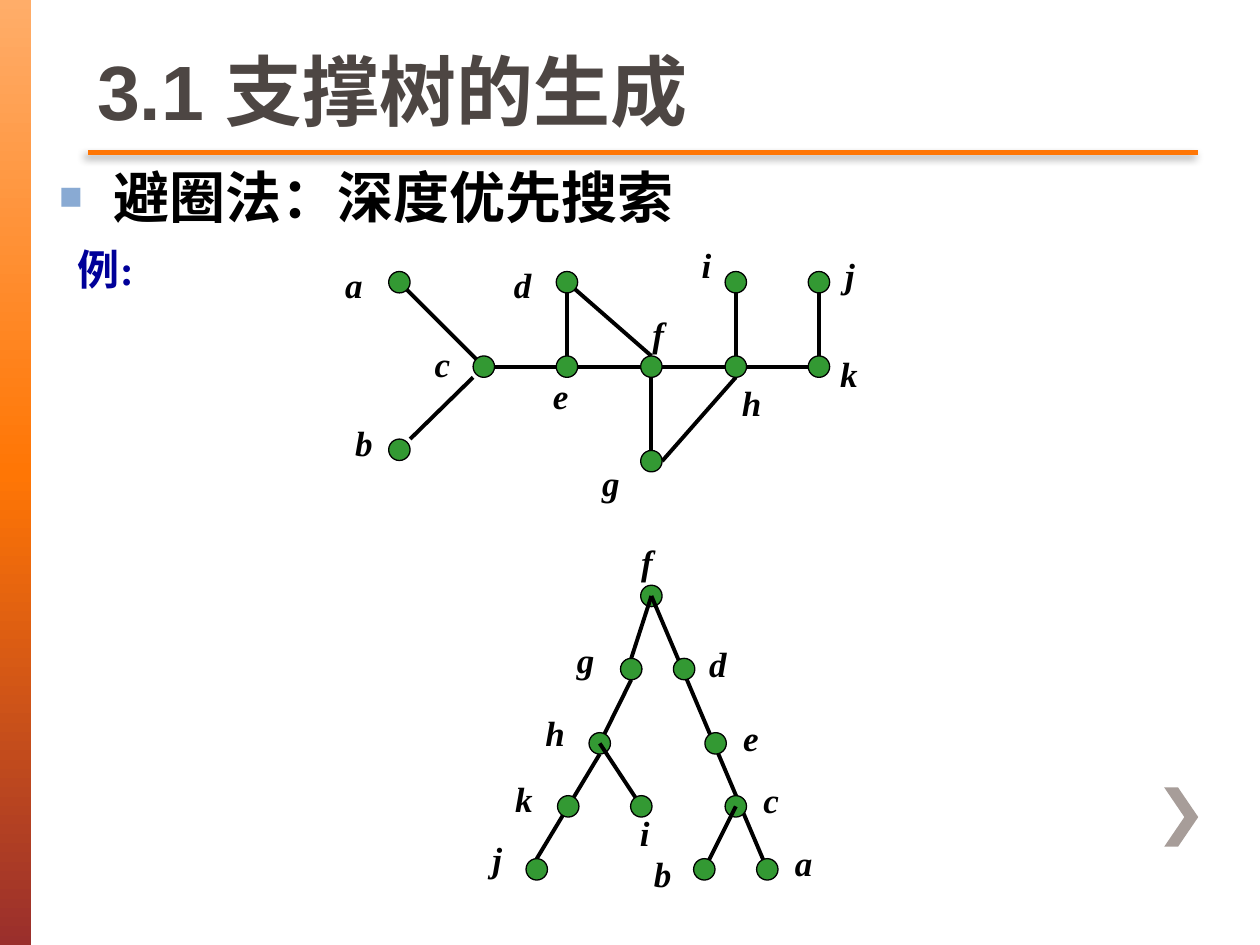
from lxml import etree
from pptx import Presentation
from pptx.dml.color import RGBColor
from pptx.enum.shapes import MSO_CONNECTOR, MSO_SHAPE
from pptx.enum.text import MSO_ANCHOR, MSO_AUTO_SIZE, PP_ALIGN
from pptx.oxml import parse_xml
from pptx.oxml.ns import qn
from pptx.util import Inches, Pt

STRAIGHT = MSO_CONNECTOR.STRAIGHT
RECTANGLE, OVAL = MSO_SHAPE.RECTANGLE, MSO_SHAPE.OVAL
LEFT = PP_ALIGN.LEFT
TOP, BOTTOM = MSO_ANCHOR.TOP, MSO_ANCHOR.BOTTOM
NO_AUTOFIT = MSO_AUTO_SIZE.NONE

BLACK = RGBColor(0x00, 0x00, 0x00)
ORANGE = RGBColor(0xFF, 0x76, 0x05)
TITLE_BROWN = RGBColor(0x4D, 0x46, 0x43)
CHEVRON_GREY = RGBColor(0xA7, 0x9D, 0x99)
EXAMPLE_BLUE = RGBColor(0x00, 0x00, 0x99)
NODE_GREEN = RGBColor(0x33, 0x99, 0x33)
BULLET_BLUE = RGBColor(0x89, 0xAA, 0xD3)
BAR_STOPS = [(0, RGBColor(0xFF, 0xAD, 0x69)), (50, ORANGE),
             (100, RGBColor(0x9A, 0x2F, 0x2C))]

SERIF, SANS = "Times New Roman", "Arial"
A_NS = 'xmlns:a="http://schemas.openxmlformats.org/drawingml/2006/main"'

RADIUS = 0.085
# Points of a node where an edge may end, as offsets from its centre
ANCHORS = {"mid": (0, 0), "n": (0, -RADIUS), "s": (0, RADIUS),
           "w": (-RADIUS, 0), "e": (RADIUS, 0),
           "ne": (RADIUS, -RADIUS), "sw": (-RADIUS, RADIUS)}


def add_run(paragraph, text, size, font, color, italic=False):
    run = paragraph.add_run()
    run.text = text
    run.font.size = Pt(size)
    run.font.name = font
    run.font.bold = True
    run.font.italic = italic
    run.font.color.rgb = color


def add_text(slide, box, text, size, color, italic=False):
    label = slide.shapes.add_textbox(*map(Inches, box))
    label.text_frame.word_wrap = True
    add_run(label.text_frame.paragraphs[0], text, size, SERIF, color, italic)


def add_line(slide, start, end, color, width):
    line = slide.shapes.add_connector(STRAIGHT, *map(Inches, (*start, *end)))
    line.line.color.rgb = color
    line.line.width = Pt(width)
    effects = etree.SubElement(line._element.spPr, qn("a:effectLst"))
    return effects


def place(placeholder, box, anchor):
    placeholder.left, placeholder.top, placeholder.width, placeholder.height = map(Inches, box)
    frame = placeholder.text_frame
    frame.vertical_anchor = anchor
    frame.auto_size = NO_AUTOFIT
    paragraph = frame.paragraphs[0]
    paragraph.alignment = LEFT
    paragraph.space_before = Pt(0)
    return paragraph


def add_side_bar(slide, box):
    bar = slide.shapes.add_shape(RECTANGLE, *map(Inches, box))
    bar.shadow.inherit = False
    bar.line.fill.background()
    # Three-stop gradient running downwards
    stops = "".join(f'<a:gs pos="{pos * 1000}"><a:srgbClr val="{color}"/></a:gs>'
                    for pos, color in BAR_STOPS)
    gradient = parse_xml(f'<a:gradFill {A_NS}><a:gsLst>{stops}</a:gsLst>'
                         '<a:lin ang="5400000" scaled="0"/></a:gradFill>')
    bar._element.spPr.find(qn("a:prstGeom")).addnext(gradient)


def add_chevron(slide, box):
    left, top, width, height = box
    arm = 0.11
    outline = [(arm, 0), (width, height / 2), (arm, height),
               (0, height), (width - arm, height / 2), (0, 0)]
    points = [(Inches(left + x), Inches(top + y)) for x, y in outline]
    builder = slide.shapes.build_freeform(*points[0])
    builder.add_line_segments(points[1:], close=True)
    chevron = builder.convert_to_shape()
    chevron.shadow.inherit = False
    chevron.fill.solid()
    chevron.fill.fore_color.rgb = CHEVRON_GREY
    chevron.line.fill.background()


def add_heading(slide, box, text):
    left, top, width, height = box
    # Rule with a soft shadow
    rule_y = top + height + 0.08
    effects = add_line(slide, (left + 0.03, rule_y), (left + width + 0.03, rule_y), ORANGE, 2.5)
    effects.append(parse_xml(
        f'<a:outerShdw {A_NS} blurRad="63500" dist="38100" dir="8100000" rotWithShape="0">'
        '<a:srgbClr val="000000"><a:alpha val="45000"/></a:srgbClr></a:outerShdw>'))
    paragraph = place(slide.shapes.title, box, BOTTOM)
    add_run(paragraph, text, 44, SANS, TITLE_BROWN)


def add_topic(slide, box, text):
    paragraph = place(slide.placeholders[1], box, TOP)
    add_run(paragraph, text, 32, SERIF, BLACK)
    # Square bullet with a hanging indent
    properties = paragraph._p.get_or_add_pPr()
    properties.set("marL", str(Inches(0.43)))
    properties.set("indent", str(-Inches(0.43)))
    for bullet in (f'<a:buClr {A_NS}><a:srgbClr val="{BULLET_BLUE}"/></a:buClr>',
                   f'<a:buSzPct {A_NS} val="70000"/>',
                   f'<a:buFont {A_NS} typeface="{SANS}"/>',
                   f'<a:buChar {A_NS} char="■"/>'):
        properties.append(parse_xml(bullet))


def add_node(slide, center, label, label_at):
    x, y = center
    node = slide.shapes.add_shape(
        OVAL, *map(Inches, (x - RADIUS, y - RADIUS, 2 * RADIUS, 2 * RADIUS)))
    node.shadow.inherit = False
    node.fill.solid()
    node.fill.fore_color.rgb = NODE_GREEN
    node.line.color.rgb = BLACK
    node.line.width = Pt(0.75)
    add_text(slide, (x + label_at[0], y + label_at[1], 0.42, 0.43), label, 20, BLACK, True)


def add_graph(slide, origin, nodes, branches):
    """nodes: name -> (x, y, label dx, label dy); each branch: edges, then its nodes."""
    left, top = origin

    def end_point(name, anchor):
        dx, dy = ANCHORS[anchor]
        return left + nodes[name][0] + dx, top + nodes[name][1] + dy

    for edges, members in branches:
        for edge in edges:
            source, source_anchor, target, target_anchor = edge.split()
            add_line(slide, end_point(source, source_anchor),
                     end_point(target, target_anchor), BLACK, 2.25)
        for name in members:
            add_node(slide, end_point(name, "mid"), name, nodes[name][2:])


# Example graph: columns and rows are 0.67 apart
GRAPH_NODES = {
    "a": (0, 0, -0.53, -0.2), "d": (1.33, 0, -0.52, -0.2),
    "i": (2.67, 0, -0.37, -0.36), "j": (3.33, 0, 0.11, -0.28),
    "c": (0.67, 0.67, -0.49, -0.24), "e": (1.33, 0.67, -0.21, 0.01),
    "f": (2, 0.67, -0.09, -0.48), "h": (2.67, 0.67, -0.05, 0.07),
    "k": (3.33, 0.67, 0.07, -0.16),
    "b": (0, 1.33, -0.45, -0.27), "g": (2, 1.42, -0.49, -0.05),
}
GRAPH_EDGES = ["a mid c mid", "b ne c sw", "c e e w", "e e f w", "f e h w", "h e k w",
               "i s h n", "j s k n", "d s e n", "d mid f n", "f s g n", "g e h s"]

# Depth-first search tree
TREE_NODES = {
    "f": (0.91, 0, -0.18, -0.49),
    "g": (0.75, 0.58, -0.53, -0.29), "d": (1.17, 0.58, 0.1, -0.26),
    "h": (0.5, 1.17, -0.53, -0.3), "e": (1.42, 1.17, 0.12, -0.26),
    "k": (0.25, 1.67, -0.52, -0.28), "i": (0.83, 1.67, -0.11, -0.01),
    "c": (1.58, 1.67, 0.12, -0.27),
    "j": (0, 2.17, -0.45, -0.3), "b": (1.33, 2.17, -0.5, -0.18),
    "a": (1.83, 2.17, 0.12, -0.27),
}
TREE_BRANCHES = [
    ([], "f"),
    (["f mid g n", "g s h mid", "h s k mid", "k mid j n"], "ghkj"),
    (["h mid i mid"], "i"),
    (["f mid a mid"], "deca"),
    (["c mid b mid"], "b"),
]

prs = Presentation()
prs.slide_width, prs.slide_height = Inches(10), Inches(7.5)
slide = prs.slides.add_slide(prs.slide_layouts[1])

add_side_bar(slide, (0, 0, 0.25, 7.5))
add_chevron(slide, (9.24, 6.25, 0.27, 0.47))
add_heading(slide, (0.67, 0, 8.81, 1.13), "3.1 支撑树的生成")
add_topic(slide, (0.37, 1.24, 6.86, 0.63), "避圈法：深度优先搜索")
add_text(slide, (0.52, 1.88, 8.5, 0.5), "例:", 24, EXAMPLE_BLUE)
add_graph(slide, (3.17, 2.24), GRAPH_NODES, [(GRAPH_EDGES, GRAPH_NODES)])
add_graph(slide, (4.26, 4.73), TREE_NODES, TREE_BRANCHES)

prs.save("out.pptx")
